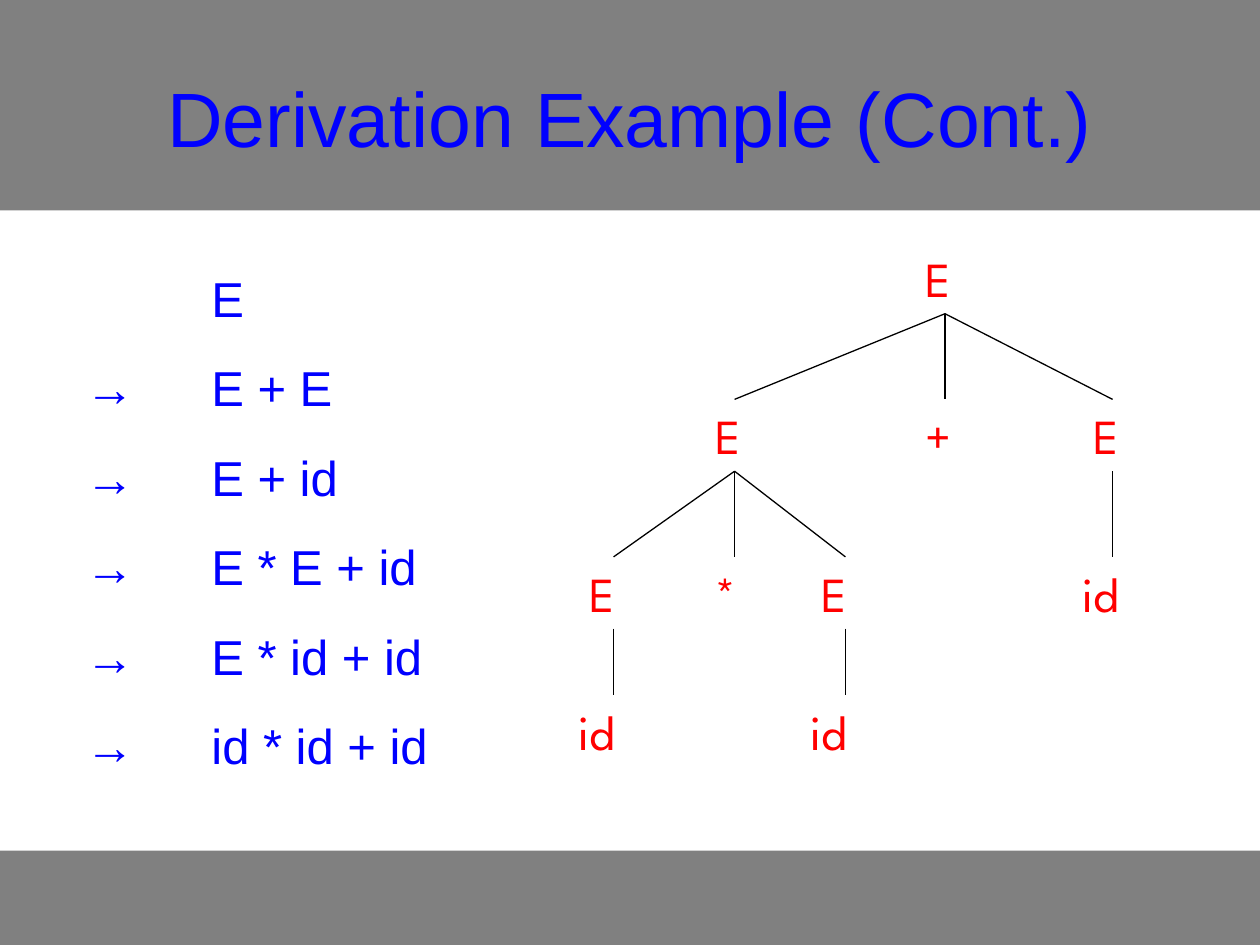
import pptx
import pptx.dml.color
import pptx.enum.shapes
import pptx.enum.text
import pptx.util
import lxml.etree

Inches = pptx.util.Inches  # the grid has 10 columns and 7.5 rows of one inch
Pt = pptx.util.Pt
DRAWING = "{http://schemas.openxmlformats.org/drawingml/2006/main}"


def color(hex_text):
    return pptx.dml.color.RGBColor.from_string(hex_text)


def add_text(left, top, width, height, lines, font_name, size, hex_text):
    """Add a wrapped text box with one paragraph per line and return its frame."""
    box = slide.shapes.add_textbox(Inches(left), Inches(top), Inches(width), Inches(height))
    frame = box.text_frame
    frame.word_wrap = True
    frame.text = "\n".join(lines)
    for paragraph in frame.paragraphs:
        paragraph.font.name = font_name
        paragraph.font.size = Pt(size)
        paragraph.font.color.rgb = color(hex_text)
        paragraph.space_before = Pt(17.5)
    return frame


presentation = pptx.Presentation()
presentation.slide_width = Inches(10)
presentation.slide_height = Inches(7.5)
slide = presentation.slides.add_slide(presentation.slide_layouts[6])

# Grey bands at the foot and the head
for top, height in [(6.75, 0.75), (0, 1.67)]:
    band = slide.shapes.add_shape(
        pptx.enum.shapes.MSO_SHAPE.RECTANGLE, 0, Inches(top), presentation.slide_width, Inches(height))
    band.shadow.inherit = False
    band.fill.solid()
    band.fill.fore_color.rgb = color("808080")
    band.line.fill.background()

title = add_text(0.5, 0.3, 9, 1.25, ["Derivation Example (Cont.)"], "Arial", 44, "0000FF")
title.vertical_anchor = pptx.enum.text.MSO_ANCHOR.MIDDLE
title.paragraphs[0].alignment = pptx.enum.text.PP_ALIGN.CENTER
title.paragraphs[0].space_before = Pt(0)

# Derivation steps, with a tab stop one column in
steps = ["E + E", "E + id", "E * E + id", "E * id + id", "id * id + id"]
derivation = add_text(
    0.58, 2.08, 3.83, 4.12, ["\tE"] + [f"→ \t{step}" for step in steps], "Arial", 28, "0000FF")
for paragraph in derivation.paragraphs:
    tab_list = lxml.etree.Element(DRAWING + "tabLst")
    lxml.etree.SubElement(tab_list, DRAWING + "tab", pos=str(Inches(1)), algn="l")
    properties = paragraph._p.get_or_add_pPr()
    properties.find(DRAWING + "defRPr").addprevious(tab_list)

# Parse tree: label, centre, level, box width, centre of the parent
level_tops = [1.92, 3.17, 4.42, 5.52]
label_height = 0.57
nodes = [
    ("E", 7.5, 0, 0.5, None),
    ("E", 5.83, 1, 0.5, 7.5),
    ("+", 7.5, 1, 0.5, 7.5),
    ("E", 8.83, 1, 0.5, 7.5),
    ("E", 4.87, 2, 0.58, 5.83),
    ("*", 5.83, 2, 0.5, 5.83),
    ("E", 6.71, 2, 0.58, 5.83),
    ("id", 8.83, 2, 0.67, 8.83),
    ("id", 4.87, 3, 0.75, 4.87),
    ("id", 6.71, 3, 0.75, 6.71),
]
for label, center, level, width, parent_center in nodes:
    top = level_tops[level]
    add_text(center - width / 2, top, width, label_height, [label], "League Spartan", 28, "FF0000")
    if parent_center is None:
        continue
    branch = slide.shapes.add_connector(
        pptx.enum.shapes.MSO_CONNECTOR.STRAIGHT,
        Inches(parent_center), Inches(level_tops[level - 1] + label_height),
        Inches(center), Inches(top))
    branch.line.color.rgb = color("000000")
    branch.line.width = Pt(0.75)
    lxml.etree.SubElement(branch.element.spPr, DRAWING + "effectLst")

presentation.save("out.pptx")
